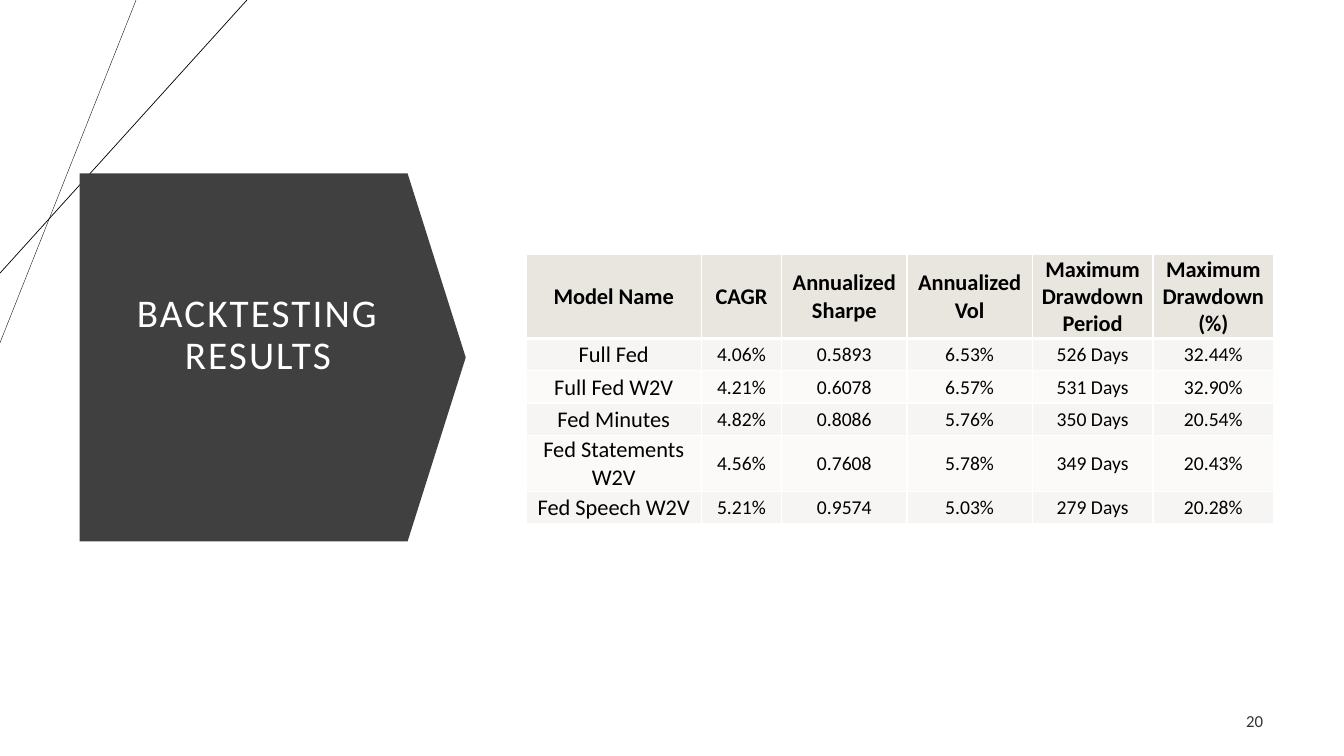
from lxml.etree import SubElement
from pptx import Presentation
from pptx.dml.color import RGBColor
from pptx.enum.shapes import MSO_CONNECTOR, MSO_SHAPE
from pptx.enum.text import MSO_ANCHOR, PP_ALIGN
from pptx.oxml.ns import qn
from pptx.util import Pt

TITLE = "BACKTESTING RESULTS"
PAGE_NUMBER = "20"
ROWS = [
    ("Model Name", "CAGR", "Annualized Sharpe", "Annualized Vol",
     "Maximum Drawdown Period", "Maximum Drawdown (%)"),
    ("Full Fed", "4.06%", "0.5893", "6.53%", "526 Days", "32.44%"),
    ("Full Fed W2V", "4.21%", "0.6078", "6.57%", "531 Days", "32.90%"),
    ("Fed Minutes", "4.82%", "0.8086", "5.76%", "350 Days", "20.54%"),
    ("Fed Statements W2V", "4.56%", "0.7608", "5.78%", "349 Days", "20.43%"),
    ("Fed Speech W2V", "5.21%", "0.9574", "5.03%", "279 Days", "20.28%"),
]
COL_WIDTHS = (125, 57.5, 89.5, 89.5, 86.25, 86.25)
ROW_HEIGHTS = (60.5, 23, 23, 23, 40, 23)
CORNER_LINES = [((97.2, 0), (0, 244.8), 0.25), ((176.4, 0), (0, 195.1), 0.5)]

FONT = "Calibri"
BLACK = RGBColor(0x00, 0x00, 0x00)
WHITE = RGBColor(0xFF, 0xFF, 0xFF)
CHARCOAL = RGBColor(0x40, 0x40, 0x40)
DARK_GRAY = RGBColor(0x33, 0x33, 0x33)
HEADER_FILL = RGBColor(0xE9, 0xE6, 0xDF)
BAND_FILLS = (RGBColor(0xFB, 0xFA, 0xF9), RGBColor(0xF7, 0xF5, 0xF3))


def style(p, size, color, align, bold=False):
    p.alignment = align
    p.font.name = FONT
    p.font.size = Pt(size)
    p.font.color.rgb = color
    p.font.bold = bold


def add_label(s, text, box, size, color, align):
    tf = s.shapes.add_textbox(*map(Pt, box)).text_frame
    tf.word_wrap = True
    tf.vertical_anchor = MSO_ANCHOR.MIDDLE
    tf.text = text
    style(tf.paragraphs[0], size, color, align)
    return tf


def set_borders(cell, bottom_width):
    tcPr = cell._tc.get_or_add_tcPr()
    sides = (("lnL", 1), ("lnR", 1), ("lnT", 1), ("lnB", bottom_width))
    for i, (side, width) in enumerate(sides):
        ln = SubElement(tcPr, qn(f"a:{side}"), w=str(Pt(width)))
        fill = SubElement(ln, qn("a:solidFill"))
        SubElement(fill, qn("a:srgbClr"), val=str(WHITE))
        tcPr.insert(i, ln)


def add_results_table(s):
    table = s.shapes.add_table(
        len(ROWS), len(COL_WIDTHS), Pt(375.9), Pt(181.4),
        Pt(sum(COL_WIDTHS)), Pt(sum(ROW_HEIGHTS))).table
    for column, width in zip(table.columns, COL_WIDTHS):
        column.width = Pt(width)
    for i, (values, height) in enumerate(zip(ROWS, ROW_HEIGHTS)):
        table.rows[i].height = Pt(height)
        header = i == 0
        for j, value in enumerate(values):
            cell = table.cell(i, j)
            cell.text = value
            cell.vertical_anchor = MSO_ANCHOR.MIDDLE
            cell.margin_left = cell.margin_right = cell.margin_top = Pt(0.72)
            cell.margin_bottom = Pt(0)
            cell.fill.solid()
            cell.fill.fore_color.rgb = HEADER_FILL if header else BAND_FILLS[i % 2]
            style(cell.text_frame.paragraphs[0], 16 if header or j == 0 else 14,
                  BLACK, PP_ALIGN.CENTER, header)
            set_borders(cell, 3 if header else 1)


prs = Presentation()
prs.slide_width, prs.slide_height = Pt(960), Pt(540)
s = prs.slides.add_slide(prs.slide_layouts[6])

for start, end, width in CORNER_LINES:
    line = s.shapes.add_connector(MSO_CONNECTOR.STRAIGHT, *map(Pt, start + end))
    line.line.color.rgb = BLACK
    line.line.width = Pt(width)
    SubElement(line._element.spPr, qn("a:effectLst"))

arrow = s.shapes.add_shape(MSO_SHAPE.DOWN_ARROW, Pt(63.4), Pt(117.4), Pt(262.8), Pt(275.8))
arrow.rotation = 270
arrow.adjustments[0], arrow.adjustments[1] = 1, 0.158
arrow.shadow.inherit = False
arrow.fill.solid()
arrow.fill.fore_color.rgb = CHARCOAL
arrow.line.fill.background()

tf = add_label(s, TITLE, (80.6, 154.8, 207.4, 200.9), 28, WHITE, PP_ALIGN.CENTER)
tf.margin_bottom = Pt(34)
p = tf.paragraphs[0]
p.line_spacing = 0.9
p.runs[0].font._element.set("spc", "150")

add_label(s, PAGE_NUMBER, (869, 500.4, 40.3, 28.8), 12, DARK_GRAY, PP_ALIGN.RIGHT)
add_results_table(s)

prs.save("out.pptx")
